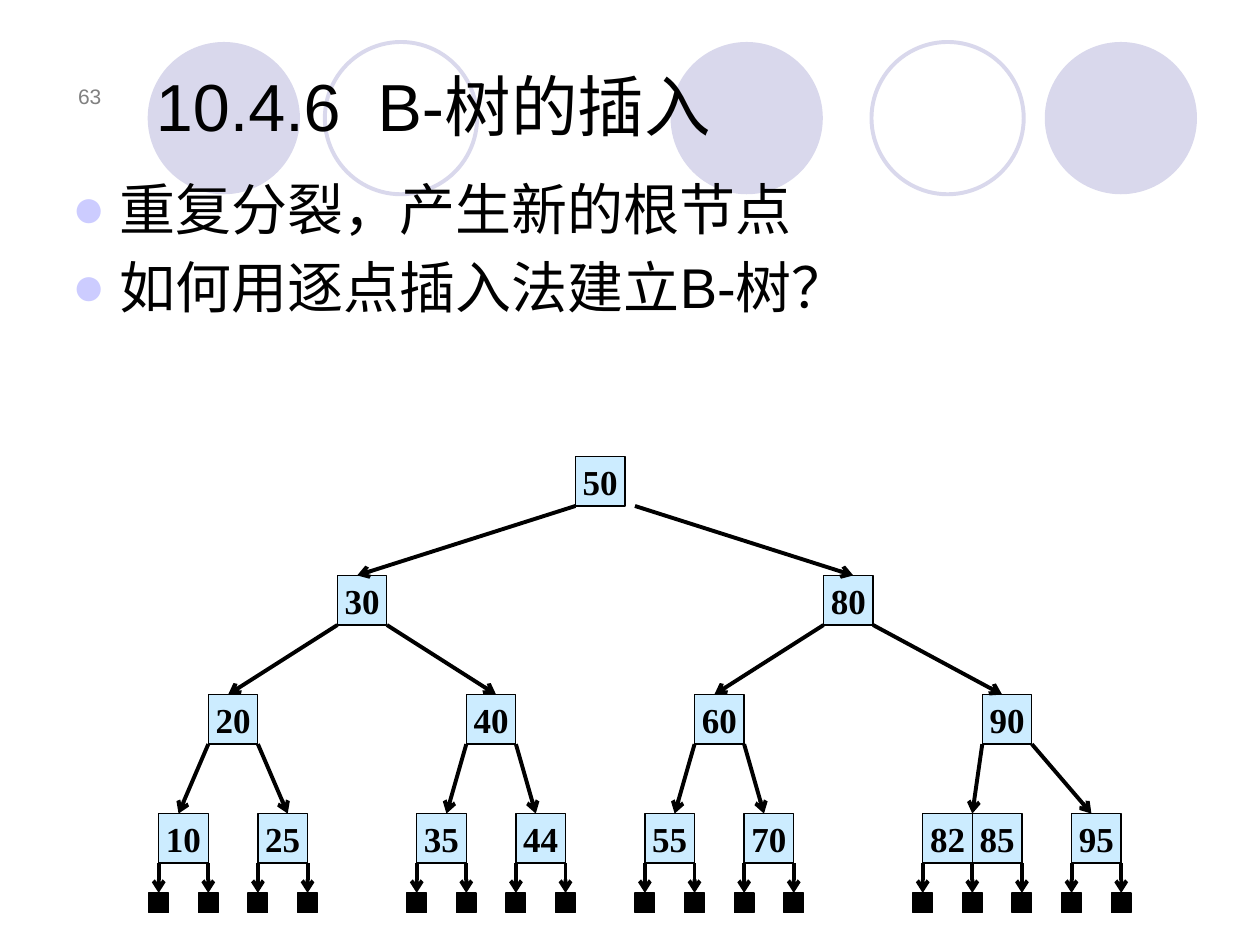
from lxml import etree
from pptx import Presentation, util as u
from pptx.dml.color import RGBColor
from pptx.enum import shapes, text
from pptx.oxml.ns import qn

HUES = {"ink": "000000", "node": "CCECFF", "ring": "D9D8EC", "dot": "CCCCFF", "page": "808080"}
UNIT, LEFT, TOP = 5.67, 90.7, 260.8
BOX, STEP, DROP = 5, 12, 3

ROWS = [
    {50: 42},
    {30: 18, 80: 67},
    {20: 5, 40: 31, 60: 54, 90: 83},
    {10: 0, 25: 10, 35: 26, 44: 36, 55: 49, 70: 59, 82: 77, 85: 82, 95: 92},
]
EDGES = [
    [(42, 20), (48, 70)],
    [(18, 7), (23, 34), (67, 56), (72, 85)],
    [(5, 2), (10, 13), (31, 29), (36, 38), (54, 52), (59, 61), (83, 82), (88, 94)],
]


class Deck:
    """Holds the style and the current slide, and draws each kind of element."""

    def __init__(self, wide, high):
        self.file = Presentation()
        self.file.slide_width, self.file.slide_height = u.Pt(wide), u.Pt(high)
        self.slide = self.file.slides.add_slide(self.file.slide_layouts[6])
        self.items = self.slide.shapes

    def hue(self, name):
        return RGBColor.from_string(HUES[name])

    def apply(self, item, style):
        for key, value in style.items():
            setattr(item, key, value)

    def type(self, para, words, size, name="Arial", hue="ink", bold=False):
        para.text = words
        self.apply(para.font, {"size": u.Pt(size), "name": name, "bold": bold})
        para.font.color.rgb = self.hue(hue)

    def shape(self, kind, x, y, wide, high, fill=None, line=None, width=0.75):
        item = self.items.add_shape(kind, *map(u.Pt, (x, y, wide, high)))
        item.shadow.inherit = False
        if fill:
            item.fill.solid()
            item.fill.fore_color.rgb = self.hue(fill)
        else:
            item.fill.background()
        if line:
            item.line.color.rgb = self.hue(line)
            item.line.width = u.Pt(width)
        else:
            item.line.fill.background()
        return item

    def square(self, x, y, side, fill):
        return self.shape(shapes.MSO_SHAPE.RECTANGLE, x, y, side, side, fill, "ink")

    def node(self, key, x, y):
        frame = self.square(x, y, BOX * UNIT, "node").text_frame
        self.apply(frame, {
            "word_wrap": False, "vertical_anchor": text.MSO_ANCHOR.MIDDLE,
            "margin_left": 0, "margin_right": 0, "margin_top": 0, "margin_bottom": 0,
        })
        para = frame.paragraphs[0]
        para.alignment = text.PP_ALIGN.CENTER
        self.type(para, str(key), 20, "Times New Roman", bold=True)

    def arrow(self, x, y, to_x, to_y):
        item = self.items.add_connector(
            shapes.MSO_CONNECTOR.STRAIGHT, *map(u.Pt, (x, y, to_x, to_y)))
        item.line.color.rgb = self.hue("ink")
        item.line.width = u.Pt(2.25)
        etree.SubElement(item.line._get_or_add_ln(), qn("a:tailEnd"), type="arrow")
        etree.SubElement(item._element.spPr, qn("a:effectLst"))

    def label(self, x, y, wide, high, anchor):
        frame = self.items.add_textbox(*map(u.Pt, (x, y, wide, high))).text_frame
        self.apply(frame, {"word_wrap": True, "vertical_anchor": anchor})
        return frame

    def line(self, words, box, size, hue="ink", align=text.PP_ALIGN.LEFT):
        para = self.label(*box, text.MSO_ANCHOR.BOTTOM).paragraphs[0]
        para.alignment = align
        self.type(para, words, size, hue=hue)

    def list(self, lines, box, size):
        frame = self.label(*box, text.MSO_ANCHOR.TOP)
        for index, words in enumerate(lines):
            para = frame.add_paragraph() if index else frame.paragraphs[0]
            props = para._p.get_or_add_pPr()
            props.set("marL", str(u.Pt(27)))
            props.set("indent", str(u.Pt(-27)))
            tint = etree.SubElement(props, qn("a:buClr"))
            etree.SubElement(tint, qn("a:srgbClr"), val=HUES["dot"])
            etree.SubElement(props, qn("a:buFont"), typeface="Arial")
            etree.SubElement(props, qn("a:buChar"), char="●")
            if index:
                para.space_before = u.Pt(size * 0.2)
            self.type(para, words, size)


def across(col):
    return LEFT + col * UNIT


def down(row):
    return TOP + row * STEP * UNIT


def tree(deck):
    side = BOX * UNIT
    for row, keys in enumerate(ROWS):
        for key, col in keys.items():
            deck.node(key, across(col), down(row))
    for row, pairs in enumerate(EDGES):
        for start, end in pairs:
            deck.arrow(across(start), down(row) + side, across(end), down(row + 1))
    base = down(len(ROWS) - 1) + side
    leaf = base + DROP * UNIT
    for col in sorted({col + edge for col in ROWS[-1].values() for edge in (0, BOX)}):
        deck.square(across(col - 1), leaf, 2 * UNIT, "ink")
        deck.arrow(across(col), base, across(col), leaf)


def main():
    deck = Deck(720, 540)
    oval = shapes.MSO_SHAPE.OVAL
    for x in (84.4, 383.2, 597):
        deck.shape(oval, x, 24, 87, 87, fill="ring")
    for x in (185.6, 498):
        deck.shape(oval, x, 24, 87, 87, line="ring", width=2.25)
    deck.line("63", (25, 31.5, 40, 34), 12, "page", text.PP_ALIGN.RIGHT)
    deck.line("10.4.6  B-树的插入", (82, 15, 590, 71.5), 38)
    deck.list(["重复分裂，产生新的根节点", "如何用逐点插入法建立B-树？"], (34, 96, 686, 96), 32)
    tree(deck)
    deck.file.save("out.pptx")


if __name__ == "__main__":
    main()
